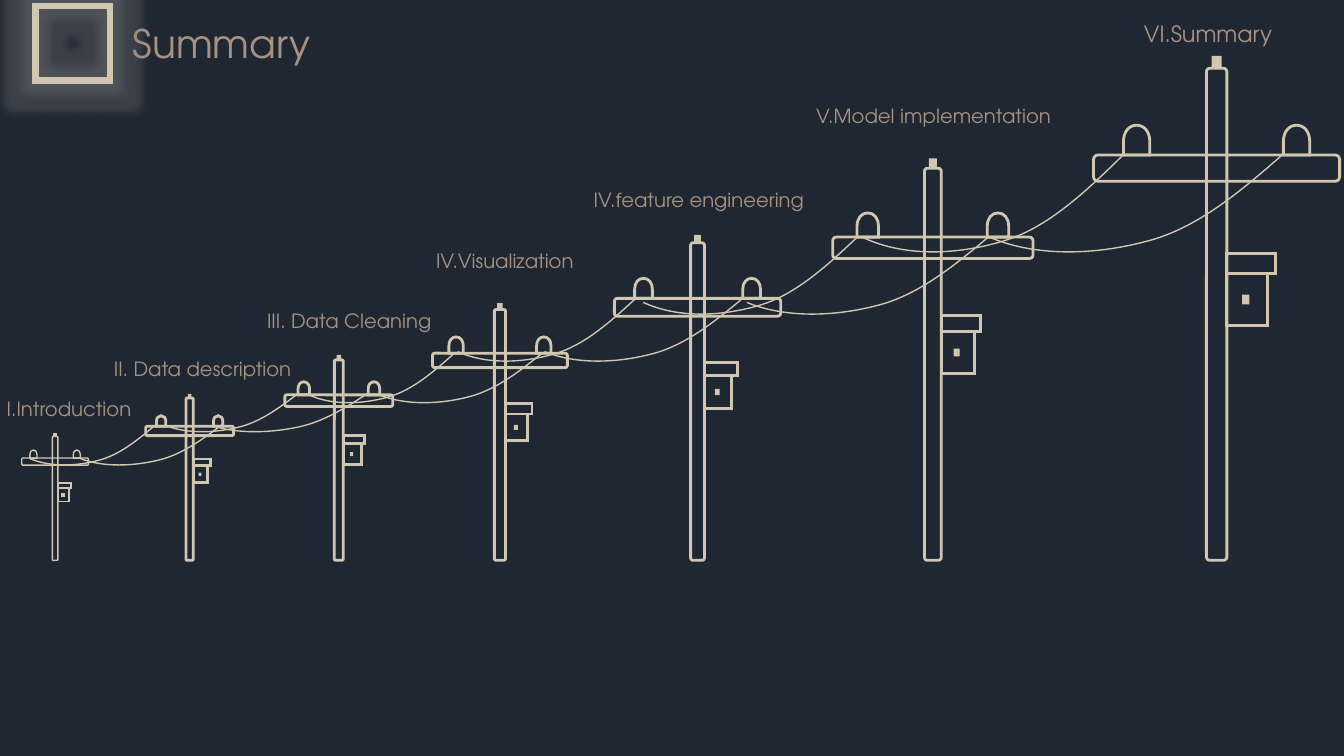
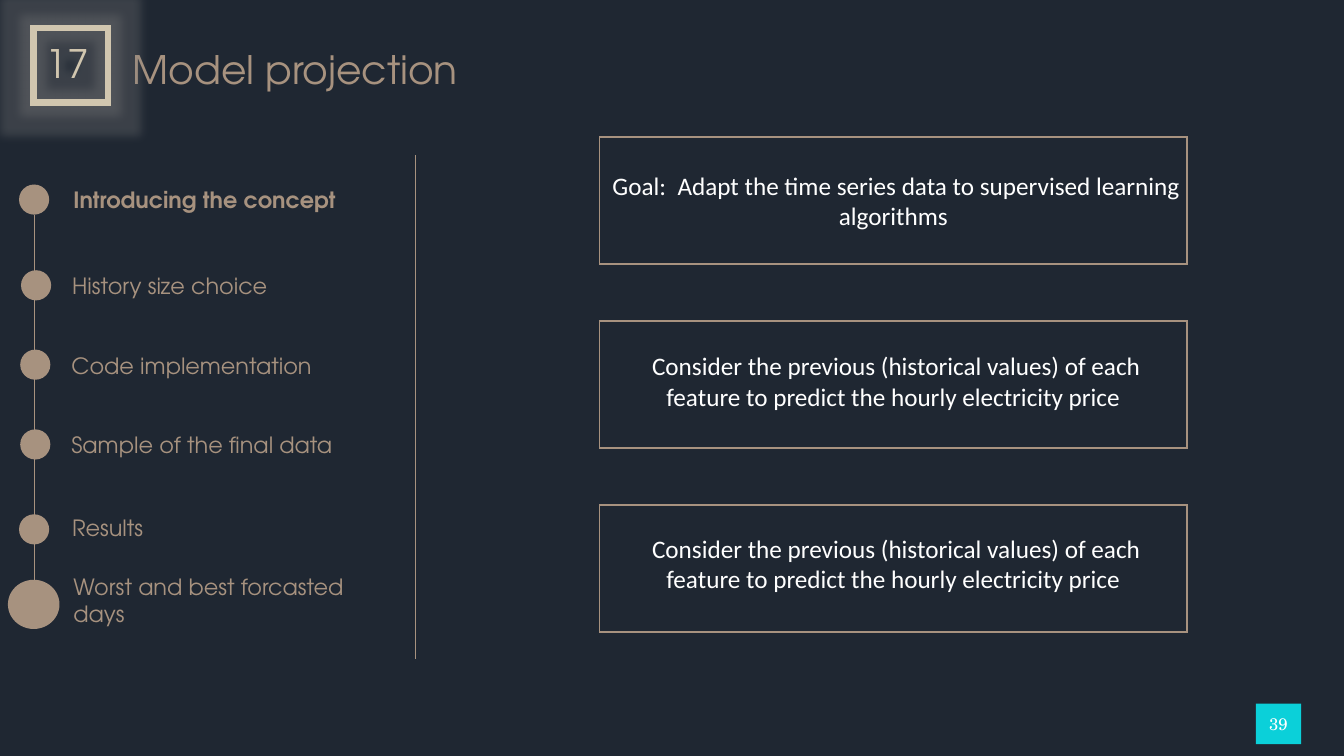
from itertools import pairwise
from typing import NamedTuple

from lxml.etree import SubElement
from pptx import Presentation
from pptx.dml.color import RGBColor
from pptx.enum.shapes import MSO_CONNECTOR, MSO_SHAPE
from pptx.enum.text import MSO_ANCHOR, PP_ALIGN
from pptx.oxml.ns import qn
from pptx.util import Cm, Pt

NAVY = RGBColor(0x1F, 0x27, 0x32)
TAN = RGBColor(0xA7, 0x92, 0x7F)
CREAM = RGBColor(0xD1, 0xC6, 0xAF)
GLOW = RGBColor(0x80, 0x80, 0x80)
CYAN = RGBColor(0x0B, 0xD0, 0xD9)
WHITE = RGBColor(0xFF, 0xFF, 0xFF)

HEADING = "TeX Gyre Adventor"
BODY = "Calibri"
NUMERAL = "TeX Gyre Schola"

PAGE_WIDTH, PAGE_HEIGHT = 33.87, 19.05
GROUND = 14.12
DOME = [(0.5, 0), (-0.5, 0), (-0.5, 0.45), (-0.5, 0.78), (-0.29, 1), (0, 1),
        (0.29, 1), (0.5, 0.78), (0.5, 0.45)]
SAG = [(0, 0), (0.15, 0.47), (0.29, 0.88), (0.45, 1.04), (0.62, 1.21), (0.83, 1.26), (1, 1)]


class Pole(NamedTuple):
    center: float
    height: float
    arm: float
    weight: float = 2

    @property
    def top(self):
        return GROUND - self.height

    @property
    def thickness(self):
        return self.arm * 0.107

    @property
    def arm_top(self):
        return self.top + self.height * 0.203 - self.thickness / 2


POLES = [
    Pole(1.39, 3.12, 1.68, weight=1),
    Pole(4.78, 4.09, 2.21),
    Pole(8.54, 5.05, 2.72),
    Pole(12.6, 6.32, 3.4),
    Pole(17.58, 8, 4.19),
    Pole(23.51, 9.88, 5.05),
    Pole(30.66, 12.4, 6.2),
]

WIRES = [
    (10.69, 11.56, (3.94, 0.76), (5.61, 2.03)),
    (9.91, 10.73, (7.52, 4.19), (9.27, 5.36)),
    (8.92, 9.96, (11.43, 7.8), (13.64, 9.58)),
    (7.54, 8.86, (16, 11.53), (18.69, 13.72)),
    (5.99, 7.62, (21.59, 16.21), (24.89, 18.82)),
    (3.89, 5.97, (28.32, 21.72), (32.33, 24.92)),
]

CHAPTERS = [
    ("I.Introduction", -0.08, 9.88, 5.23, 14),
    ("II. Data description", 2.62, 8.86, 5.87, 14),
    ("III. Data Cleaning", 6.48, 7.67, 5.23, 14),
    ("IV.Visualization", 10.74, 6.15, 5.23, 14),
    ("IV.feature engineering", 14.71, 4.6, 6.68, 14),
    ("V.Model implementation", 20.32, 2.49, 7.67, 14),
    ("VI.Summary", 28.58, 0.38, 5.72, 16),
]

STEPS = [
    ("Introducing the concept", 0.86, 5.03, 1.6, 4.57, 7.32),
    ("History size choice", 0.91, 7.19, 1.57, 6.73, 5.49),
    ("Code implementation", 0.89, 9.19, 1.55, 8.74, 6.65),
    ("Sample of the final data", 0.89, 11.2, 1.55, 10.74, 7.19),
    ("Results", 0.86, 13.34, 1.57, 12.83, 8.92),
    ("Worst and best forcasted days", 0.85, 15.23, 1.6, 14.33, 8.26),
]

HISTORY = (" Consider the previous (historical values) of each feature "
           "to predict the hourly electricity price")
PANELS = [
    (" Goal:  Adapt the time series data to supervised learning algorithms", 4.17, 15.16),
    (HISTORY, 8.71, 13.97),
    (HISTORY, 13.31, 13.97),
]


def style(shape, fill=None, line=None, weight=1):
    shape.shadow.inherit = False
    if fill is None:
        shape.fill.background()
    else:
        shape.fill.solid()
        shape.fill.fore_color.rgb = fill
    if line is None:
        shape.line.fill.background()
    else:
        shape.line.color.rgb = line
        shape.line.width = Pt(weight)
        SubElement(shape._element.spPr.find(qn("a:ln")), qn("a:miter"), lim="800000")
    return shape


def add_block(page, kind, left, top, width, height, **look):
    shape = page.shapes.add_shape(kind, Cm(left), Cm(top), Cm(width), Cm(height))
    return style(shape, **look)


def write(frame, text, size, color, font, align):
    para = frame.paragraphs[0]
    para.alignment = align
    span = para.add_run()
    span.text = text
    span.font.size = Pt(size)
    span.font.name = font
    span.font.color.rgb = color
    return span


def add_label(page, text, left, top, width, height, size, color=TAN, font=HEADING,
              align=PP_ALIGN.LEFT, wrap=True):
    box = page.shapes.add_textbox(Cm(left), Cm(top), Cm(width), Cm(height))
    box.text_frame.word_wrap = wrap
    return write(box.text_frame, text, size, color, font, align)


def add_rule(page, x, top, bottom):
    rule = page.shapes.add_connector(MSO_CONNECTOR.STRAIGHT, Cm(x), Cm(top), Cm(x), Cm(bottom))
    rule.line.color.rgb = TAN
    rule.line.width = Pt(0.5)
    SubElement(rule._element.spPr, qn("a:effectLst"))


def add_curve(page, points, weight, straight=0, close=False):
    start, *rest = [(Cm(x), Cm(y)) for x, y in points]
    builder = page.shapes.build_freeform(*start)
    builder.add_line_segments(rest, close=close)
    shape = style(builder.convert_to_shape(), line=CREAM, weight=weight)
    lines = list(shape._element.spPr.iter(qn("a:lnTo")))[straight:]
    for first in range(0, len(lines), 3):
        curve = lines[first].makeelement(qn("a:cubicBezTo"))
        lines[first].addprevious(curve)
        for line in lines[first:first + 3]:
            curve.append(line[0])
            line.getparent().remove(line)


def add_insulator(page, center, bottom, width, weight):
    height = width * 1.13
    points = [(center + u * width, bottom - v * height) for u, v in DOME]
    add_curve(page, points, weight, straight=2, close=True)


def add_pole(page, pole):
    center, height, arm, top = pole.center, pole.height, pole.arm, pole.top
    hollow = {"line": CREAM, "weight": pole.weight}
    solid = {"fill": CREAM, "line": CREAM if pole.weight == 1 else None}
    width, cap, side = arm * 0.083, arm * 0.041, center + arm * 0.0415
    lid_top, lid_height = top + height * 0.376, height * 0.041
    box_top = lid_top + lid_height
    add_block(page, MSO_SHAPE.ROUNDED_RECTANGLE, center - width / 2, top, width, height, **hollow)
    add_block(page, MSO_SHAPE.ROUNDED_RECTANGLE, center - arm / 2, pole.arm_top,
              arm, pole.thickness, **hollow)
    add_block(page, MSO_SHAPE.RECTANGLE, center - cap / 2, top - height * 0.025,
              cap, height * 0.025, **solid)
    for direction in (-1, 1):
        add_insulator(page, center + direction * arm * 0.325, pole.arm_top,
                      pole.thickness, pole.weight)
    add_block(page, MSO_SHAPE.RECTANGLE, side, box_top, arm * 0.165, height * 0.106, **hollow)
    add_block(page, MSO_SHAPE.RECTANGLE, side, lid_top, arm * 0.197, lid_height, **hollow)
    add_block(page, MSO_SHAPE.RECTANGLE, side + arm * 0.062, box_top + height * 0.043,
              arm * 0.03, height * 0.02, **solid)


def add_wires(page, high, low, *spans):
    for start, end in spans:
        points = [(start + u * (end - start), high + v * (low - high)) for u, v in SAG]
        add_curve(page, points, 1)


def add_frame(page, left, top):
    frame = add_block(page, MSO_SHAPE.RECTANGLE, left, top, 1.88, 1.88, line=CREAM, weight=4.75)
    effects = frame._element.spPr.find(qn("a:effectLst"))
    glow = SubElement(effects, qn("a:glow"), rad=str(Pt(14)))
    color = SubElement(glow, qn("a:srgbClr"), val=str(GLOW))
    SubElement(color, qn("a:alpha"), val="30000")


def add_page(deck, title, title_top, title_width, frame_left, frame_top):
    page = deck.slides.add_slide(deck.slide_layouts[6])
    add_block(page, MSO_SHAPE.RECTANGLE, 0, 0, PAGE_WIDTH, PAGE_HEIGHT, fill=NAVY)
    add_label(page, title, 3.1, title_top, title_width, 1.45, 28, wrap=False)
    add_frame(page, frame_left, frame_top)
    return page


def add_steps(page):
    last = len(STEPS) - 1
    add_rule(page, 0.86, 5.41, 14.86)
    for index, (text, center, middle, left, top, width) in enumerate(STEPS):
        dot_width, dot_height = (1.3, 1.24) if index == last else (0.76, 0.76)
        add_block(page, MSO_SHAPE.OVAL, center - dot_width / 2, middle - dot_height / 2,
                  dot_width, dot_height, fill=TAN)
        span = add_label(page, text, left, top, width, 1.63 if index == last else 0.94,
                         16, wrap=index == last)
        span.font.bold = index == 0


def add_panel(page, top, text, text_top, text_width):
    left, width = 15.11, 14.81
    add_block(page, MSO_SHAPE.RECTANGLE, left, top, width, 3.2, line=TAN)
    add_label(page, text, left + (width - text_width) / 2, text_top, text_width, 1.8, 18,
              WHITE, BODY, PP_ALIGN.CENTER)


def add_badge(page, text):
    badge = add_block(page, MSO_SHAPE.RECTANGLE, 31.65, 17.73, 1.14, 1.02, fill=CYAN)
    frame = badge.text_frame
    frame.vertical_anchor = MSO_ANCHOR.MIDDLE
    frame.margin_left = frame.margin_right = 0
    write(frame, text, 12, WHITE, NUMERAL, PP_ALIGN.CENTER)


def build_summary(deck):
    page = add_page(deck, "Summary", 0.36, 5, 0.89, 0.15)
    for pole in POLES:
        add_pole(page, pole)
    for wires in WIRES:
        add_wires(page, *wires)
    for text, left, top, width, size in CHAPTERS:
        add_label(page, text, left, top, width, 0.86, size)


def build_projection(deck):
    page = add_page(deck, "Model projection", 1.02, 8.84, 0.84, 0.71)
    add_label(page, "17", 0.89, 0.86, 1.63, 1.45, 28, CREAM, align=PP_ALIGN.CENTER, wrap=False)
    add_badge(page, "39")
    add_rule(page, 10.46, 3.91, 16.61)
    add_steps(page)
    for index, panel in enumerate(PANELS):
        add_panel(page, 3.45 + index * 4.64, *panel)


def main():
    deck = Presentation()
    deck.slide_width = Cm(PAGE_WIDTH)
    deck.slide_height = Cm(PAGE_HEIGHT)
    build_summary(deck)
    build_projection(deck)
    deck.save("out.pptx")


if __name__ == "__main__":
    main()
